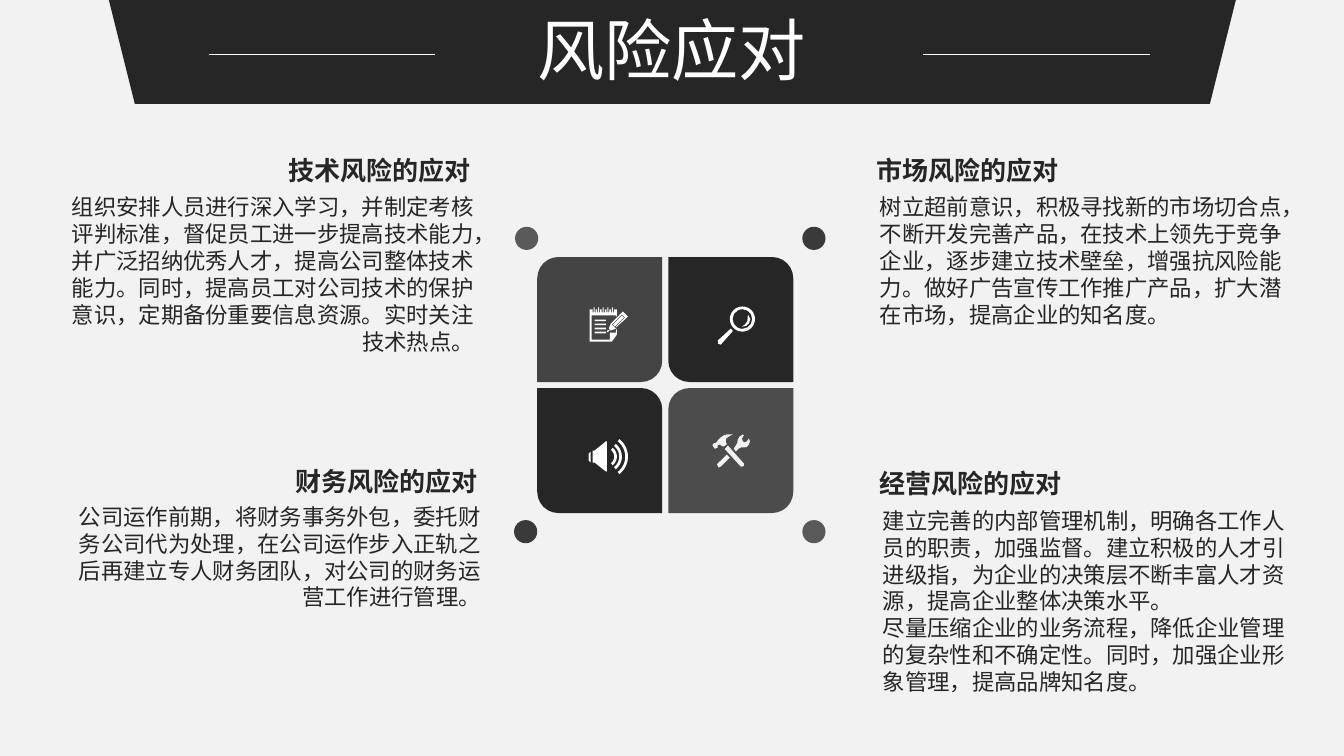
from dataclasses import dataclass
from math import cos, radians, sin

from lxml import etree
from pptx import Presentation, util as u
from pptx.dml.color import RGBColor
from pptx.enum import shapes, text
from pptx.oxml import ns

ROWS = 75
COLUMNS = 133.33
CELL = u.Inches(7.5) / ROWS
COLORS = {"dark": "262626", "paper": "F2F2F2", "white": "FFFFFF"}
TILE = 12.4
TILE_STEP = 13
DOT = 2.3
KIND = shapes.MSO_SHAPE
Points = list[tuple[float, float]]


@dataclass
class Box:
    column: float
    row: float
    columns: float
    rows: float


@dataclass
class Topic:
    heading: str
    heading_box: Box
    body: str
    body_box: Box
    align: text.PP_ALIGN


@dataclass
class Icon:
    column: float
    row: float
    polygons: list[Points]
    color: str = "white"


@dataclass
class Dot:
    column: float
    row: float
    opacity: int


def length(cells: float) -> int:
    return round(cells * CELL)


def place(box: Box) -> list[int]:
    return [length(side) for side in (box.column, box.row, box.columns, box.rows)]


def paint(shape, color: str, opacity: int = 100) -> None:
    shape.shadow.inherit = False
    shape.fill.solid()
    shape.fill.fore_color.rgb = RGBColor.from_string(COLORS[color])
    shape.line.fill.background()
    if opacity < 100:
        fill_color = shape.fill._xPr.find(".//" + ns.qn("a:srgbClr"))
        etree.SubElement(fill_color, ns.qn("a:alpha"), val=str(opacity * 1000))


def add_figure(slide, kind, box: Box, color: str, opacity: int = 100):
    shape = slide.shapes.add_shape(kind, *place(box))
    paint(shape, color, opacity)
    return shape


def add_icon(slide, icon: Icon) -> None:
    for polygon in icon.polygons:
        points = [(length(icon.column + x), length(icon.row + y)) for x, y in polygon]
        builder = slide.shapes.build_freeform(*points[0])
        builder.add_line_segments(points[1:], close=True)
        paint(builder.convert_to_shape(), icon.color)


def format_text(frame, align, font: str, size: float, color: str, bold: bool = False) -> None:
    for paragraph in frame.paragraphs:
        paragraph.alignment = align
        for run in paragraph.runs:
            run.font.name = font
            run.font.size = u.Pt(size)
            run.font.bold = bold
            run.font.color.rgb = RGBColor.from_string(COLORS[color])


def add_words(slide, words: str, box: Box, align, size: float, bold: bool = False) -> None:
    frame = slide.shapes.add_textbox(*place(box)).text_frame
    frame.word_wrap = True
    frame.auto_size = text.MSO_AUTO_SIZE.SHAPE_TO_FIT_TEXT
    frame.text = words
    format_text(frame, align, "Calibri", size, "dark", bold)


def add_rule(slide, column: float) -> None:
    start, row, end = length(column), length(5.4), length(column + 22.5)
    rule = slide.shapes.add_connector(shapes.MSO_CONNECTOR.STRAIGHT, start, row, end, row)
    rule.line.color.rgb = RGBColor.from_string(COLORS["white"])
    rule.line.width = u.Pt(0.5)
    etree.SubElement(rule._element.spPr, ns.qn("a:effectLst"))


def sound_wave(radius: float) -> Points:
    angles = [radians(angle) for angle in range(-52, 53, 8)]
    outer = [(radius * cos(a), radius * sin(a)) for a in angles]
    inner = [((radius - 0.27) * cos(a), (radius - 0.27) * sin(a)) for a in reversed(angles)]
    return outer + inner


def notepad() -> Points:
    tooth = [(0, 0.2), (0, 0.5), (-0.1, 0.5), (-0.1, 0), (-0.2, 0), (-0.2, 0.5), (-0.3, 0.5), (-0.3, 0.2)]
    spiral = [(2.4 - 0.45 * i + x, y) for i in range(5) for x, y in tooth]
    page = [(2.6, 2.5), (2, 2.5), (2, 3.2), (0.2, 3.2), (0.2, 0.8), (2.6, 0.8), (2.6, 1), (2.7, 0.8), (2.7, 0.2)]
    return page + spiral + [(0, 0.2), (0, 3.4), (2.2, 3.4), (2.7, 2.7), (2.7, 2.1), (2.6, 2.3)]


PENCIL = [
    [(2.6, 2), (3.6, 1.1), (3.5, 1), (2.6, 1.9)],
    [(3.2, 0.8), (2.3, 1.7), (2.5, 1.9), (3.4, 1)],
    [(2.1, 1.6), (2.2, 1.7), (3.2, 0.7), (3.1, 0.6)],
    [(2.6, 2.1), (2.1, 1.6), (1.9, 2.1), (2.1, 2.3)],
    [(1.7, 2.5), (2, 2.3), (1.8, 2.2)],
    [(3.3, 0.4), (3.1, 0.6), (3.6, 1.1), (3.8, 0.9)],
]
SPEAKER = [
    [(0, -1.5), (0.1, -1.5), (0.1, 1.5), (-0.1, 1.4), (-1.1, 0.6), (-1.3, 0.6), (-1.3, -0.6), (-1.1, -0.6)],
    [(-1.5, -0.5), (-1.7, -0.3), (-1.7, 0.4), (-1.5, 0.6)],
]
HANDLE = [(0, 1.2), (0.05, 1.5), (0.3, 1.6), (1.5, 0.25), (1.3, 0)]
GLINT = [(3, -1.4), (3.25, -0.95), (3.1, -0.5), (2.8, -0.25), (2.4, -0.2), (2.7, -0.4), (2.95, -0.75)]
TOOLS = [
    [(0.5, 1.1), (0.7, 1), (1, 1.2), (1.1, 1.2), (1.4, 1), (1.4, 0.9), (1.3, 0.75), (1.35, 0.4),
     (1.7, 0.15), (2, 0), (1.4, 0), (1.1, 0.1), (0.8, 0.3), (0.5, 0.6), (0.4, 0.8), (0.1, 0.9),
     (0, 1), (0, 1.1), (0.2, 1.4), (0.3, 1.4), (0.5, 1.3)],
    [(1.6, 1.2), (1.5, 1.1), (1.2, 1.45), (2.8, 3.2), (2.9, 3.2), (3.1, 3.1), (3.1, 2.9)],
    [(3.6, 0.4), (3.4, 0.7), (3.2, 0.8), (3, 0.7), (2.9, 0.4), (3.1, 0.1), (3, 0), (2.7, 0.2),
     (2.5, 0.5), (2.45, 0.85), (2.3, 1.1), (2.1, 1.4), (2.3, 1.7), (2.6, 1.4), (2.8, 1.3), (3, 1.3),
     (3.4, 1.25), (3.6, 1), (3.7, 0.7)],
    [(0.5, 2.9), (0.45, 3), (0.6, 3.3), (0.8, 3.2), (1.7, 2.3), (1.4, 2)],
]
ICONS = [
    Icon(58.5, 30.5, [notepad(), *PENCIL]),
    Icon(71.2, 32.6, [HANDLE, GLINT]),
    Icon(60.1, 45.3, SPEAKER + [sound_wave(radius) for radius in (1.1, 1.6, 2.2)]),
    Icon(70.7, 43.1, TOOLS, "paper"),
]
DOTS = [Dot(51.1, 22.5, 74), Dot(51, 51.6, 90), Dot(79.6, 22.5, 90), Dot(79.6, 51.6, 75)]
LEFT, RIGHT, CENTER = text.PP_ALIGN.LEFT, text.PP_ALIGN.RIGHT, text.PP_ALIGN.CENTER
TOPICS = [
    Topic("市场风险的应对", Box(86, 14.8, 24.4, 4.1),
          "树立超前意识，积极寻找新的市场切合点，不断开发完善产品，在技术上领先于竞争企业，逐步建立技术壁垒，增强抗风险能力。做好广告宣传工作推广产品，扩大潜在市场，提高企业的知名度。",
          Box(86.3, 18.7, 43.8, 14.5), LEFT),
    Topic("经营风险的应对", Box(86.3, 45.9, 27.4, 4.1),
          "建立完善的内部管理机制，明确各工作人员的职责，加强监督。建立积极的人才引进级指，为企业的决策层不断丰富人才资源，提高企业整体决策水平。\n"
          "尽量压缩企业的业务流程，降低企业管理的复杂性和不确定性。同时，加强企业形象管理，提高品牌知名度。",
          Box(86.6, 49.8, 43.8, 19.8), LEFT),
    Topic("技术风险的应对", Box(21, 14.8, 26.7, 4.1),
          "组织安排人员进行深入学习，并制定考核评判标准，督促员工进一步提高技术能力，并广泛招纳优秀人才，提高公司整体技术能力。同时，提高员工对公司技术的保护意识，定期备份重要信息资源。实时关注技术热点。",
          Box(4.4, 18.7, 43.6, 17.2), RIGHT),
    Topic("财务风险的应对", Box(21, 45.7, 27.4, 4.1),
          "公司运作前期，将财务事务外包，委托财务公司代为处理，在公司运作步入正轨之后再建立专人财务团队，对公司的财务运营工作进行管理。",
          Box(6.8, 49.4, 41.9, 11.8), RIGHT),
]


def add_banner(slide) -> None:
    banner = add_figure(slide, KIND.TRAPEZOID, Box(10.8, 0, 111.8, 10.3), "dark")
    banner.rotation = 180
    title = slide.shapes.title
    title.left, title.top, title.width, title.height = place(Box(28, 1.2, 77.3, 8.3))
    frame = title.text_frame
    frame.text = "风险应对"
    frame.word_wrap = True
    frame.vertical_anchor = text.MSO_ANCHOR.MIDDLE
    frame.auto_size = text.MSO_AUTO_SIZE.NONE
    frame.paragraphs[0].line_spacing = 0.9
    format_text(frame, CENTER, "Times New Roman", 48, "white")
    slide.shapes._spTree.append(title._element)
    for column in (91.6, 20.7):
        add_rule(slide, column)


def add_tiles(slide) -> None:
    for index, opacity in enumerate((85, 100, 100, 81)):
        row, column = divmod(index, 2)
        box = Box(53.3 + column * TILE_STEP, 25.5 + row * TILE_STEP, TILE, TILE)
        tile = add_figure(slide, KIND.ROUND_2_DIAG_RECTANGLE, box, "dark", opacity)
        falling = row == column
        tile.adjustments[0] = 0.17 if falling else 0
        tile.adjustments[1] = 0 if falling else 0.17


def main() -> None:
    presentation = Presentation()
    presentation.slide_width, presentation.slide_height = length(COLUMNS), length(ROWS)
    slide = presentation.slides.add_slide(presentation.slide_layouts[5])
    slide.background.fill.solid()
    slide.background.fill.fore_color.rgb = RGBColor.from_string(COLORS["paper"])
    add_tiles(slide)
    for icon in ICONS:
        add_icon(slide, icon)
    for line in range(4):
        add_figure(slide, KIND.RECTANGLE, Box(59, 31.7 + 0.4 * line, 1.1, 0.17), "white")
    lens = add_figure(slide, KIND.DONUT, Box(72.4, 30.4, 2.5, 2.5), "white")
    lens.adjustments[0] = 0.11
    add_banner(slide)
    for dot in DOTS:
        add_figure(slide, KIND.OVAL, Box(dot.column, dot.row, DOT, DOT), "dark", dot.opacity)
    for topic in TOPICS:
        add_words(slide, topic.body, topic.body_box, topic.align, 16)
        add_words(slide, topic.heading, topic.heading_box, topic.align, 18.6, True)
    presentation.save("out.pptx")


if __name__ == "__main__":
    main()
